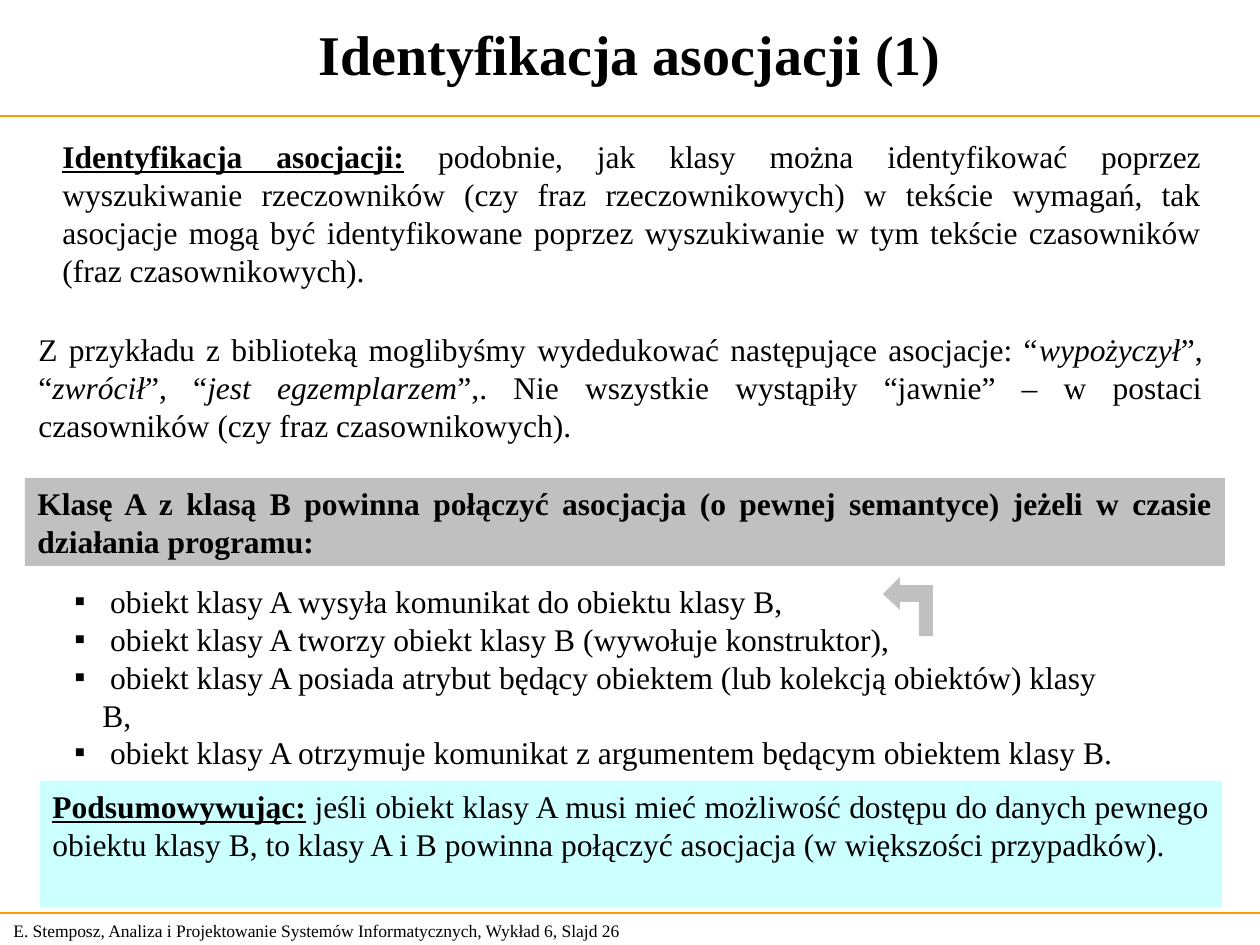
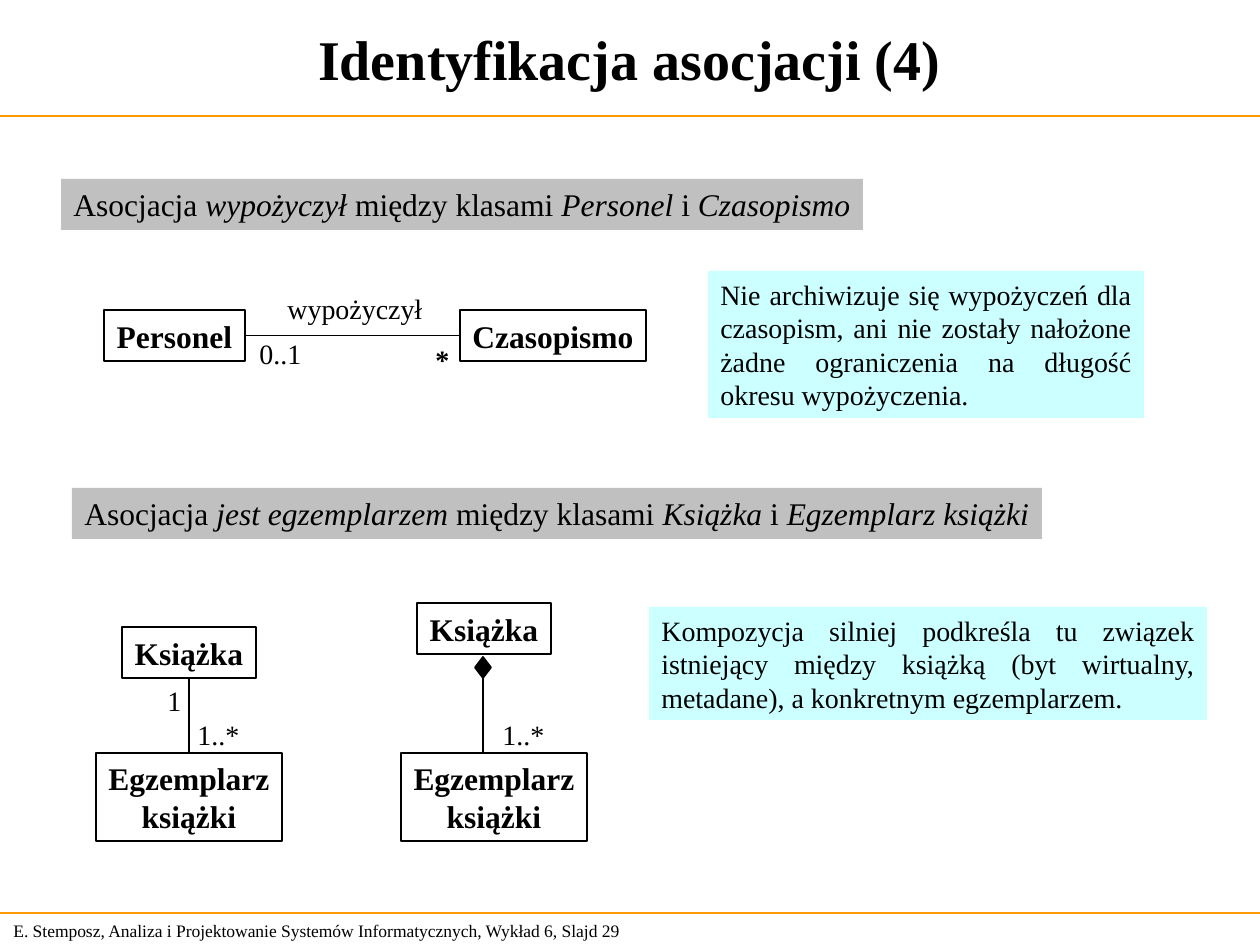
from dataclasses import dataclass

from lxml.etree import SubElement
from pptx import Presentation
from pptx.dml.color import RGBColor
from pptx.enum.shapes import MSO_CONNECTOR, MSO_SHAPE
from pptx.enum.text import MSO_ANCHOR, MSO_AUTO_SIZE, PP_ALIGN
from pptx.oxml.ns import qn
from pptx.util import Pt

SCALE = 914400 / 126  # EMU in one px


@dataclass(frozen=True)
class Theme:
    font: str = "Times New Roman"
    ink: RGBColor = RGBColor(0x00, 0x00, 0x00)
    rule: RGBColor = RGBColor(0xFF, 0x99, 0x00)
    grey: RGBColor = RGBColor(0xC0, 0xC0, 0xC0)
    cyan: RGBColor = RGBColor(0xCC, 0xFF, 0xFF)
    title: int = 32
    body: int = 18
    label: int = 16
    footer: int = 10


theme = Theme()


def add_text(page, place, paras, size=theme.body, align=PP_ALIGN.LEFT, bold=False,
             fill=None, border=False, wrap=True, anchor=MSO_ANCHOR.TOP, bullet_indent=0,
             box=None):
    """Fill a box, made unless given; each para lists (text, style), style from the letters b, i, u."""
    area = [round(px * SCALE) for px in place]
    if box is None and (fill is not None or border):
        box = page.shapes.add_shape(MSO_SHAPE.RECTANGLE, *area)
        box.shadow.inherit = False
        box.fill.background()
        box.line.fill.background()
        if fill is not None:
            box.fill.solid()
            box.fill.fore_color.rgb = fill
        if border:
            box.line.color.rgb = theme.ink
            box.line.width = Pt(1)
    elif box is None:
        box = page.shapes.add_textbox(*area)
    else:
        box.left, box.top, box.width, box.height = area
    frame = box.text_frame
    frame.auto_size = MSO_AUTO_SIZE.NONE
    frame.word_wrap = wrap
    frame.vertical_anchor = anchor
    for index, spans in enumerate(paras):
        para = frame.add_paragraph() if index else frame.paragraphs[0]
        para.alignment = align
        if bullet_indent:
            properties = para._p.get_or_add_pPr()
            indent = round(bullet_indent * SCALE)
            properties.set("marL", str(indent))
            properties.set("indent", str(-indent))
            SubElement(properties, qn("a:buFont")).set("typeface", theme.font)
            SubElement(properties, qn("a:buChar")).set("char", "▪")
        para.font.name = theme.font
        para.font.size = Pt(size)
        para.font.bold = bold
        para.font.color.rgb = theme.ink
        for text, style in spans:
            span = para.add_run()
            span.text = text
            if "b" in style:
                span.font.bold = True
            if "i" in style:
                span.font.italic = True
            if "u" in style:
                span.font.underline = True
    return box


def add_line(page, ends, color=theme.ink, width=1.0, start=None, finish=None):
    """Draw a line; start and finish are (shape, side) pairs to join."""
    line = page.shapes.add_connector(MSO_CONNECTOR.STRAIGHT, *[round(px * SCALE) for px in ends])
    line.line.color.rgb = color
    line.line.width = Pt(width)
    SubElement(line._element.spPr, qn("a:effectLst"))
    if start:
        line.begin_connect(*start)
    if finish:
        line.end_connect(*finish)


deck = Presentation()
deck.slide_width = round(1260 * SCALE)
deck.slide_height = round(945 * SCALE)

pages = []
for part, number, title_place in [(1, 26, (5, 0, 1250, 107)), (4, 29, (0, 0, 1259, 116))]:
    page = deck.slides.add_slide(deck.slide_layouts[5])
    add_text(page, title_place, [[(f"Identyfikacja asocjacji ({part})", "")]], theme.title,
             PP_ALIGN.CENTER, bold=True, anchor=MSO_ANCHOR.MIDDLE, box=page.shapes.title)
    for y in (116, 913):
        add_line(page, (0, y, 1260, y), theme.rule, 0.75)
    footer = f"E. Stemposz, Analiza i Projektowanie Systemów Informatycznych, Wykład 6, Slajd {number}"
    add_text(page, (1, 915, 660, 30), [[(footer, "")]], theme.footer, anchor=MSO_ANCHOR.MIDDLE)
    pages.append(page)
finding, examples = pages

# Slide 26: how to find associations
add_text(finding, (50, 131, 1164, 164), [[
    ("Identyfikacja asocjacji:", "bu"),
    (" podobnie, jak klasy można identyfikować poprzez wyszukiwanie rzeczowników (czy fraz "
     "rzeczownikowych) w tekście wymagań, tak asocjacje mogą być identyfikowane poprzez "
     "wyszukiwanie w tym tekście czasowników (fraz czasownikowych).", ""),
]], align=PP_ALIGN.JUSTIFY)
add_text(finding, (26, 324, 1189, 126), [[
    ("Z przykładu z biblioteką moglibyśmy wydedukować następujące asocjacje: “", ""),
    ("wypożyczył", "i"), ("”, “", ""), ("zwrócił", "i"), ("”, “", ""),
    ("jest egzemplarzem", "i"),
    ("”,. Nie wszystkie wystąpiły “jawnie” – w postaci czasowników "
     "(czy fraz czasownikowych).", ""),
]], align=PP_ALIGN.JUSTIFY)
add_text(finding, (25, 478, 1200, 88), [[
    ("Klasę A z klasą B powinna połączyć asocjacja (o pewnej semantyce) jeżeli w czasie "
     "działania programu:", ""),
]], align=PP_ALIGN.JUSTIFY, bold=True, fill=theme.grey)
conditions = [
    " obiekt klasy A wysyła komunikat do obiektu klasy B,",
    " obiekt klasy A tworzy obiekt klasy B (wywołuje konstruktor),",
    " obiekt klasy A posiada atrybut będący obiektem (lub kolekcją obiektów) klasy B,",
    " obiekt klasy A otrzymuje komunikat z argumentem będącym obiektem klasy B.",
]
add_text(finding, (62, 576, 1075, 164), [[(text, "")] for text in conditions], bullet_indent=28)
add_text(finding, (40, 781, 1182, 126), [[
    ("Podsumowywując:", "bu"),
    (" jeśli obiekt klasy A musi mieć możliwość dostępu do danych pewnego obiektu klasy B, "
     "to klasy A i B powinna połączyć asocjacja (w większości przypadków).", ""),
]], align=PP_ALIGN.JUSTIFY, fill=theme.cyan)

outline = finding.shapes.build_freeform(919, 636, scale=SCALE)
outline.add_line_segments([(919, 602), (900, 602), (900, 610), (883, 594), (900, 577),
                           (900, 585), (933, 585), (933, 636)])
bent_arrow = outline.convert_to_shape()
bent_arrow.shadow.inherit = False
bent_arrow.fill.solid()
bent_arrow.fill.fore_color.rgb = theme.grey
bent_arrow.line.fill.background()

# Slide 29: two associations from the library example
headings = [
    ((61, 179, 802, 51), "wypożyczył", "Personel", "Czasopismo"),
    ((72, 488, 970, 51), "jest egzemplarzem", "Książka", "Egzemplarz książki"),
]
for place, relation, first, second in headings:
    add_text(examples, place, [[
        ("Asocjacja ", ""), (relation, "i"), (" między klasami ", ""),
        (first, "i"), (" i ", ""), (second, "i"),
    ]], fill=theme.grey, wrap=False)

notes = [
    ((708, 271, 436, 147),
     "Nie archiwizuje się wypożyczeń dla czasopism, ani nie zostały nałożone żadne "
     "ograniczenia na długość okresu wypożyczenia."),
    ((649, 607, 558, 113),
     "Kompozycja silniej podkreśla tu związek istniejący między książką (byt wirtualny, "
     "metadane), a konkretnym egzemplarzem."),
]
for place, text in notes:
    add_text(examples, place, [[(text, "")]], theme.label, PP_ALIGN.JUSTIFY, fill=theme.cyan)

class_boxes = [
    ((104, 310, 141, 51), ["Personel"]),
    ((460, 310, 186, 51), ["Czasopismo"]),
    ((122, 627, 134, 51), ["Książka"]),
    ((96, 753, 186, 88), ["Egzemplarz", "książki"]),
    ((417, 603, 134, 51), ["Książka"]),
    ((401, 753, 186, 88), ["Egzemplarz", "książki"]),
]
staff, magazine, book, book_copy, _, _ = [
    add_text(examples, place, [[(text, "")] for text in lines], align=PP_ALIGN.CENTER,
             bold=True, border=True, wrap=False, anchor=MSO_ANCHOR.MIDDLE)
    for place, lines in class_boxes
]

diamond = examples.shapes.add_shape(
    MSO_SHAPE.DIAMOND, *[round(px * SCALE) for px in (475, 657, 16, 21)])
diamond.shadow.inherit = False
diamond.fill.solid()
diamond.fill.fore_color.rgb = theme.ink
diamond.line.color.rgb = theme.ink
diamond.line.width = Pt(1)

add_line(examples, (245, 336, 460, 336), start=(staff, 3), finish=(magazine, 1))
add_line(examples, (189, 678, 189, 753), start=(book, 2), finish=(book_copy, 0))
add_line(examples, (483, 678, 483, 753), start=(diamond, 2))

labels = [
    ((275, 285, 160, 47), "wypożyczył", ""),
    ((247, 330, 67, 47), "0..1", ""),
    ((423, 336, 39, 47), "*", "b"),
    ((155, 677, 39, 47), "1", ""),
    ((185, 711, 67, 47), "1..*", ""),
    ((490, 711, 67, 47), "1..*", ""),
]
for place, text, style in labels:
    add_text(examples, place, [[(text, style)]], theme.label, wrap=False)

deck.save("out.pptx")
